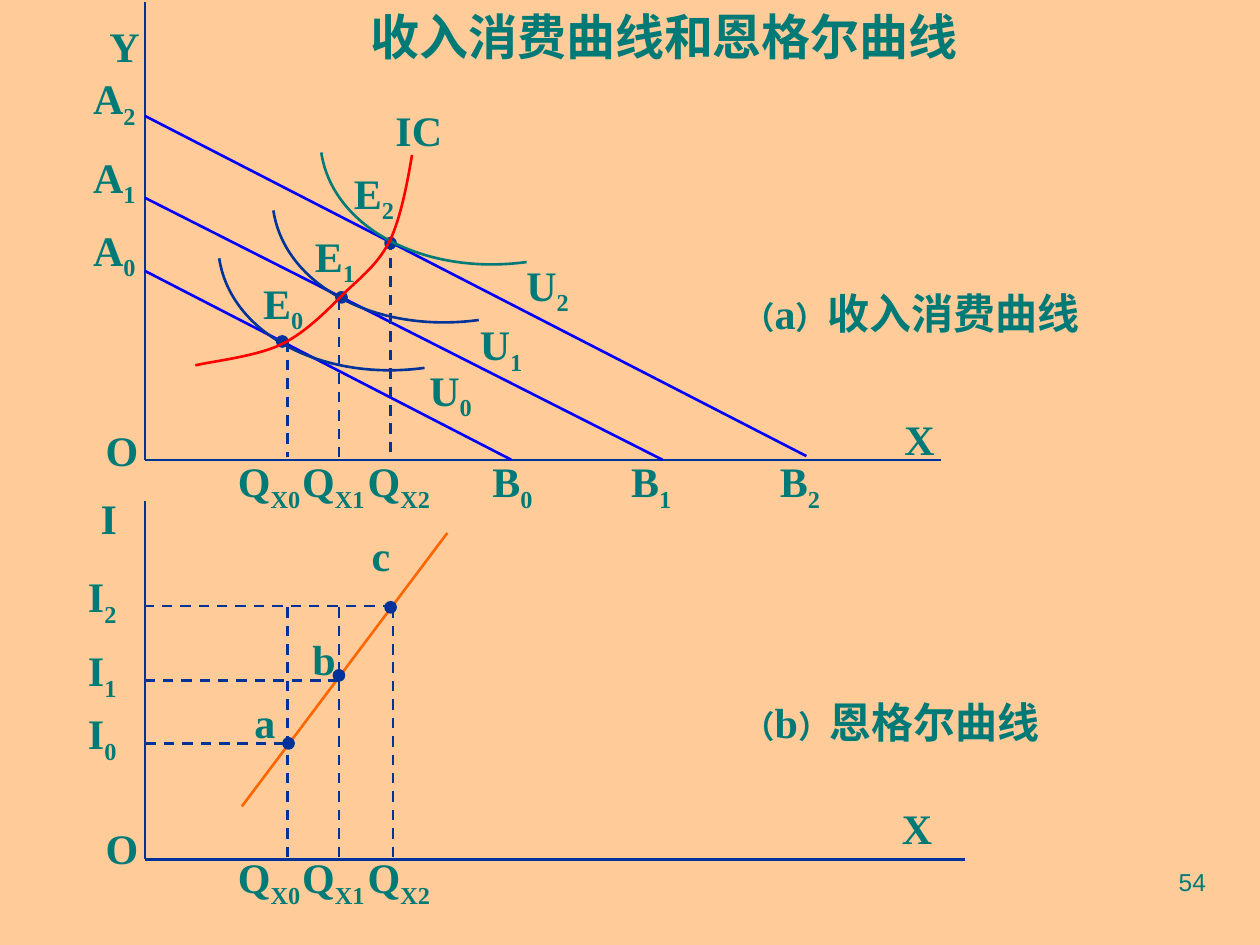
from lxml import etree
from pptx import Presentation
from pptx.dml.color import RGBColor
from pptx.enum.dml import MSO_LINE
from pptx.enum.shapes import MSO_CONNECTOR, MSO_SHAPE
from pptx.enum.text import MSO_ANCHOR, MSO_AUTO_SIZE, PP_ALIGN
from pptx.oxml.ns import qn
from pptx.util import Inches, Pt

PEACH = RGBColor(0xFF, 0xCC, 0x99)
NAVY = RGBColor(0x00, 0x33, 0x99)
BLUE = RGBColor(0x00, 0x00, 0xFF)
TEAL = RGBColor(0x00, 0x7A, 0x77)
ORANGE = RGBColor(0xFF, 0x66, 0x00)
RED = RGBColor(0xFF, 0x00, 0x00)
STRAIGHT, OVAL, DASH = MSO_CONNECTOR.STRAIGHT, MSO_SHAPE.OVAL, MSO_LINE.DASH
RECTANGLE = MSO_SHAPE.RECTANGLE
LEFT, RIGHT, TOP = PP_ALIGN.LEFT, PP_ALIGN.RIGHT, MSO_ANCHOR.TOP
FIT_SHAPE, NO_FIT = MSO_AUTO_SIZE.SHAPE_TO_FIT_TEXT, MSO_AUTO_SIZE.NONE
SERIF = "Times New Roman"
LINE_WIDTH = Pt(1.5)

presentation = Presentation()
presentation.slide_width, presentation.slide_height = Inches(10), Inches(7.5)
COLUMN = presentation.slide_width / 10
ROW = presentation.slide_height / 7.5
slide = presentation.slides.add_slide(presentation.slide_layouts[5])


def add_line(x1, y1, x2, y2, color=NAVY, dashed=False):
    line = slide.shapes.add_connector(
        STRAIGHT, int(x1 * COLUMN), int(y1 * ROW), int(x2 * COLUMN), int(y2 * ROW))
    line.line.color.rgb = color
    line.line.width = LINE_WIDTH
    if dashed:
        line.line.dash_style = DASH
    etree.SubElement(line._element.spPr, qn("a:effectLst"))


def add_label(left, top, width, runs, height=0.5):
    """Add a one-line label; runs are (text, size, is_subscript)."""
    box = slide.shapes.add_textbox(
        int(left * COLUMN), int(top * ROW), int(width * COLUMN), int(height * ROW))
    box.text_frame.word_wrap = False
    box.text_frame.auto_size = FIT_SHAPE
    paragraph = box.text_frame.paragraphs[0]
    for text, size, is_subscript in runs:
        run = paragraph.add_run()
        run.text = text
        run.font.name, run.font.size, run.font.bold = SERIF, Pt(size), True
        run.font.color.rgb = TEAL
        if is_subscript:
            run.font._element.set("baseline", "-25000")


# Backdrop
backdrop = slide.shapes.add_shape(
    RECTANGLE, 0, 0, presentation.slide_width, presentation.slide_height)
backdrop.shadow.inherit = False
backdrop.fill.solid()
backdrop.fill.fore_color.rgb = PEACH
backdrop.line.fill.background()

# Title, brought in front of the backdrop
title = slide.shapes.title
backdrop._element.addnext(title._element)
title.left, title.top = int(2.84 * COLUMN), 0
title.width, title.height = int(5.03 * COLUMN), int(0.57 * ROW)
title.text_frame.text = "收入消费曲线和恩格尔曲线"
title.text_frame.word_wrap = True
title.text_frame.auto_size = NO_FIT
title.text_frame.vertical_anchor = TOP
paragraph = title.text_frame.paragraphs[0]
paragraph.alignment = LEFT
font = paragraph.runs[0].font
font.name, font.size, font.bold = SERIF, Pt(28), True
font.color.rgb = TEAL

# Axes of both diagrams
ORIGIN_X, UPPER_AXIS, LOWER_AXIS = 1.15, 3.65, 6.82
for axis_top, axis_y, axis_right in ((0.02, UPPER_AXIS, 7.47), (3.98, LOWER_AXIS, 7.66)):
    add_line(ORIGIN_X, axis_top, ORIGIN_X, axis_y)
    add_line(ORIGIN_X, axis_y, axis_right, axis_y)

# Budget lines and Engel curve
for start_y, end_x, end_y in ((2.15, 4.06, 3.65), (1.57, 5.26, 3.65), (0.92, 6.4, 3.62)):
    add_line(ORIGIN_X, start_y, end_x, end_y, BLUE)
add_line(3.55, 4.23, 1.92, 6.4, ORANGE)

# Dashed projections onto the axes
for x, top, bottom in ((2.28, 2.71, 3.63), (2.69, 2.38, 3.63), (3.1, 1.9, 3.65)):
    add_line(x, top, x, bottom, dashed=True)
for x, right, income_y in ((2.28, 2.26, 5.9), (2.69, 2.69, 5.4), (3.12, 3.12, 4.81)):
    add_line(x, 4.82, x, LOWER_AXIS, dashed=True)
    add_line(right, income_y, ORIGIN_X, income_y, dashed=True)

# Equilibrium points and Engel curve points
DOT = 0.08
for left, top in ((2.2, 2.67), (2.67, 2.32), (3.06, 1.89),
                  (2.25, 5.86), (2.65, 5.32), (3.06, 4.78)):
    dot = slide.shapes.add_shape(
        OVAL, int(left * COLUMN), int(top * ROW), int(DOT * COLUMN), int(DOT * ROW))
    dot.shadow.inherit = False
    dot.fill.solid()
    dot.fill.fore_color.rgb = NAVY
    dot.line.color.rgb = NAVY
    dot.line.width = LINE_WIDTH

# Indifference curves share one shape; the income-consumption curve crosses them
indifference = ((3.37, 2.92), (2.56, 3.03), (1.83, 2.65), (1.74, 2.05))
curves = [([(x + right, y - up) for x, y in indifference], color)
          for right, up, color in ((0, 0, NAVY), (0.43, 0.38, NAVY), (0.81, 0.84, TEAL))]
curves.append((((3.27, 1.23), (3.23, 1.47), (3.18, 1.72), (3.1, 1.9),
                (3.01, 2.08), (2.9, 2.17), (2.75, 2.31),
                (2.61, 2.45), (2.44, 2.63), (2.24, 2.73),
                (2.04, 2.83), (1.67, 2.87), (1.55, 2.9)), RED))
for points, color in curves:
    start, *controls = [(x * COLUMN, y * ROW) for x, y in points]
    builder = slide.shapes.build_freeform(*start)
    builder.add_line_segments(controls, close=False)
    curve = builder.convert_to_shape()
    curve.shadow.inherit = False
    curve.fill.background()
    curve.line.color.rgb = color
    curve.line.width = LINE_WIDTH
    # Each three straight segments become one cubic Bézier segment
    outline = curve._element.find(".//" + qn("a:path"))
    segments = outline.findall(qn("a:lnTo"))
    for index in range(0, len(segments), 3):
        bezier = etree.SubElement(outline, qn("a:cubicBezTo"))
        for segment in segments[index:index + 3]:
            bezier.append(segment[0])
            outline.remove(segment)

# Plain labels
for text, left, top, width in (
        ("Y", 0.77, 0.11, 0.44), ("O", 0.74, 3.32, 0.46), ("X", 7.08, 3.23, 0.44),
        ("I", 0.7, 3.86, 0.33), ("O", 0.74, 6.48, 0.46), ("X", 7.06, 6.32, 0.44),
        ("a", 1.92, 5.48, 0.36), ("b", 2.38, 4.98, 0.38), ("c", 2.85, 4.15, 0.35),
        ("IC", 3.04, 0.78, 0.57)):
    add_label(left, top, width, [(text, 24, False)])

# Labels numbered 0 to 2 by subscript
for letter, prefix, width, places in (
        ("A", "", 0.54, ((0.64, 1.73), (0.64, 1.15), (0.64, 0.53))),
        ("I", "", 0.44, ((0.6, 5.57), (0.6, 5.07), (0.6, 4.48))),
        ("B", "", 0.52, ((3.81, 3.57), (4.91, 3.57), (6.09, 3.57))),
        ("E", "", 0.52, ((1.99, 2.15), (2.4, 1.78), (2.71, 1.28))),
        ("U", "", 0.54, ((3.31, 2.84), (3.71, 2.48), (4.08, 2.01))),
        ("Q", "X", 0.72, ((1.79, 3.57), (2.3, 3.57), (2.82, 3.57))),
        ("Q", "X", 0.72, ((1.79, 6.71), (2.3, 6.71), (2.82, 6.71)))):
    for number, (left, top) in enumerate(places):
        add_label(left, top, width,
                  [(letter, 24, False), (f"{prefix}{number}", 24, True)], height=0.56)

# Diagram captions
for letter, caption, top, width in (("a", "收入消费曲线", 2.23, 3.04), ("b", "恩格尔曲线", 5.48, 2.72)):
    add_label(5.8, top, width, [("（", 18, False), (letter, 24, False),
                                ("）", 18, False), (caption, 24, False)])

# Slide number
number_box = slide.shapes.add_textbox(
    int(7.17 * COLUMN), int(6.83 * ROW), int(2.5 * COLUMN), int(0.52 * ROW))
number_box.text_frame.word_wrap = True
number_box.text_frame.text = "54"
paragraph = number_box.text_frame.paragraphs[0]
paragraph.alignment = RIGHT
font = paragraph.runs[0].font
font.name, font.size = "Arial", Pt(14)
font.color.rgb = TEAL

presentation.save("out.pptx")
